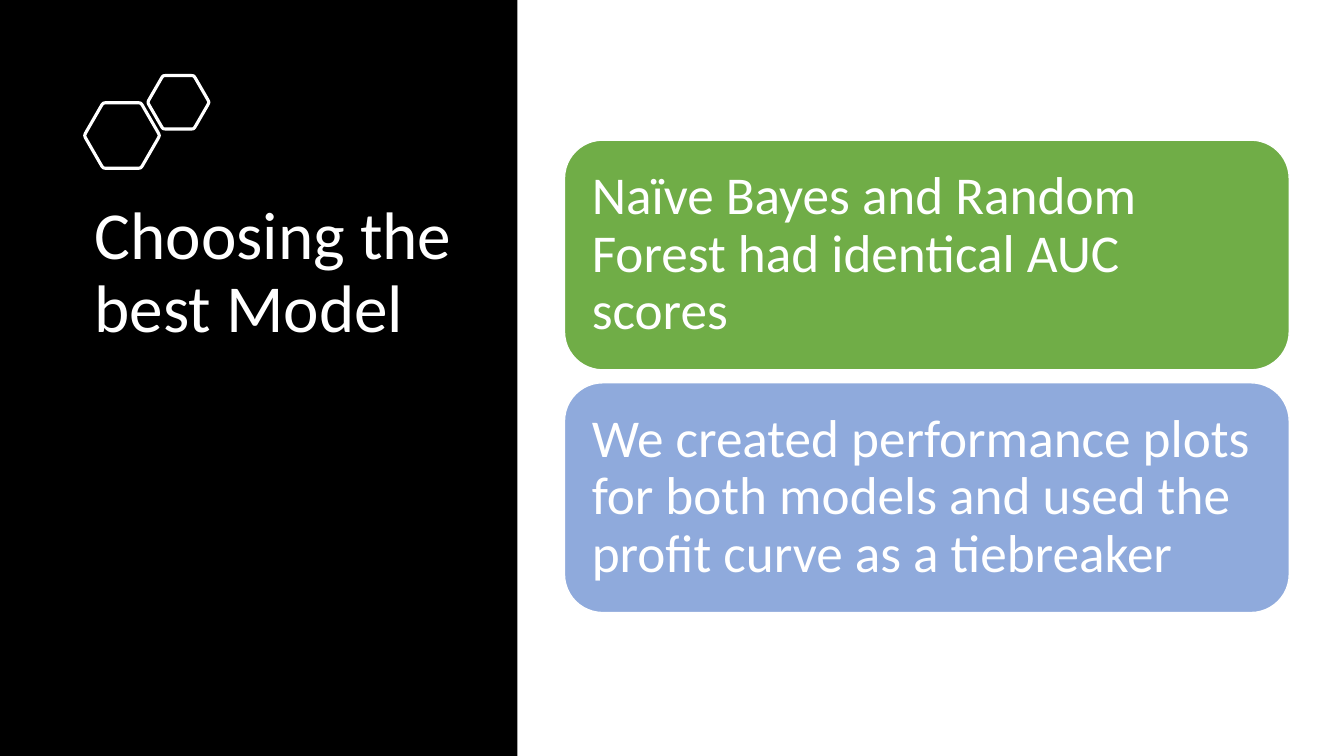
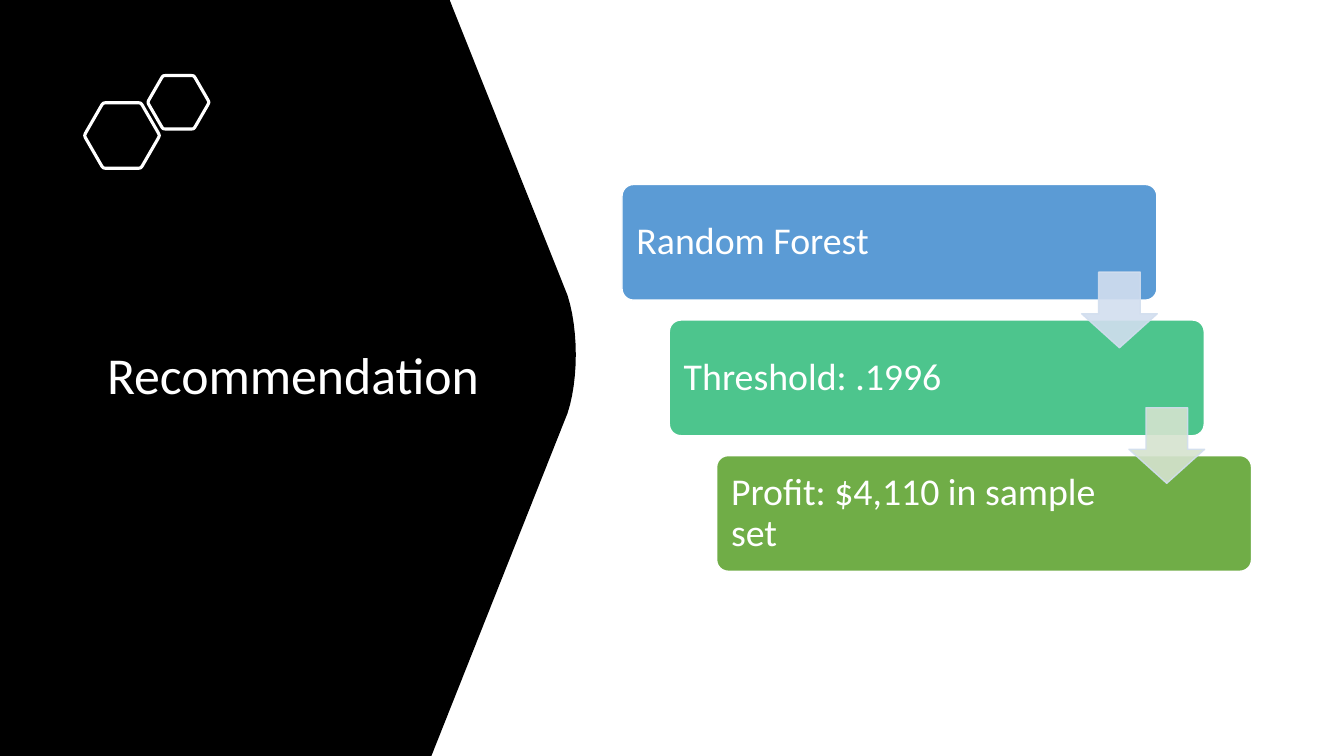
from math import cos, pi, sin, sqrt

from lxml import etree
from pptx import Presentation
from pptx.dml.color import RGBColor
from pptx.enum.shapes import MSO_SHAPE
from pptx.enum.text import MSO_ANCHOR, PP_ALIGN
from pptx.oxml.ns import qn
from pptx.util import Inches, Pt

WIDE, HIGH = Inches(13.333), Inches(7.5)
FONT = "Calibri"
BLACK, WHITE = "000000", "FFFFFF"
GREEN, BLUE, SOFT, MINT = "70AD47", "5B9BD5", "8FAADC", "4DC58D"
PALE, SAGE = "D2DEEF", "D5E3CF"
RECT, ROUND, DOWN = MSO_SHAPE.RECTANGLE, MSO_SHAPE.ROUNDED_RECTANGLE, MSO_SHAPE.DOWN_ARROW
TOP, MIDDLE = MSO_ANCHOR.TOP, MSO_ANCHOR.MIDDLE
LEFT, RIGHT = PP_ALIGN.LEFT, PP_ALIGN.RIGHT


def across(share):
    return int(WIDE * share / 100)


def down(share):
    return int(HIGH * share / 100)


def place(left, top, width, height):
    return across(left), down(top), across(width), down(height)


def paint(shape, fill=None, line=None, weight=1):
    shape.shadow.inherit = False
    for part, tone in ((shape.fill, fill), (shape.line.fill, line)):
        if tone:
            part.solid()
            part.fore_color.rgb = RGBColor.from_string(tone)
        else:
            part.background()
    if line:
        shape.line.width = Pt(weight)


def fade(shape, share):
    for tone in shape.element.iter(qn("a:srgbClr")):
        etree.SubElement(tone, qn("a:alpha")).set("val", str(share * 1000))


def write(shape, text, size, anchor, align, pads):
    frame = shape.text_frame
    frame.word_wrap = True
    frame.vertical_anchor = anchor
    frame.margin_left, frame.margin_top, frame.margin_right, frame.margin_bottom = map(Inches, pads)
    para = frame.paragraphs[0]
    para.alignment = align
    para.line_spacing = 0.9
    run = para.add_run()
    run.text = text
    run.font.name = FONT
    run.font.size = Pt(size)
    run.font.color.rgb = RGBColor.from_string(WHITE)


def title(slide, text, box, size, anchor, align):
    shape = slide.shapes.add_textbox(*place(*box))
    write(shape, text, size, anchor, align, (0.1, 0.05, 0.1, 0.05))


def block(slide, kind, box, fill, line=None, adjust=()):
    shape = slide.shapes.add_shape(kind, *place(*box))
    for spot, value in enumerate(adjust):
        shape.adjustments[spot] = value
    paint(shape, fill, line)
    return shape


def bend(start, pull, push, end, steps=12):
    points = []
    for step in range(steps + 1):
        t = step / steps
        u = 1 - t
        shares = (u ** 3, 3 * u * u * t, 3 * u * t * t, t ** 3)
        points.append(tuple(sum(k * p[axis] for k, p in zip(shares, (start, pull, push, end)))
                            for axis in (0, 1)))
    return points


def outline(slide, points, **look):
    points = [(round(x), round(y)) for x, y in points]
    maker = slide.shapes.build_freeform(*points[0], scale=1.0)
    maker.add_line_segments(points[1:], close=True)
    paint(maker.convert_to_shape(), **look)


def hexagon(slide, left, top, height, curve=0.13):
    reach = down(height) / sqrt(3)
    tips = [(across(left) + reach * cos(k * pi / 3), down(top) + reach * sin(k * pi / 3))
            for k in range(6)]

    def near(tip, other):
        return tuple(a + (b - a) * curve for a, b in zip(tip, other))

    points = []
    for k, tip in enumerate(tips):
        points += bend(near(tip, tips[k - 1]), tip, tip, near(tip, tips[(k + 1) % 6]), 6)
    outline(slide, points, line=WHITE, weight=2.25)


def emblem(slide):
    hexagon(slide, 9.08, 17.93, 8.67)
    hexagon(slide, 13.28, 13.53, 7.07)


def cards(slide, items, box, step, size, pads, adjust=()):
    left, top, width, height = box
    for row, (text, fill) in enumerate(items):
        spot = (left + row * step[0], top + row * step[1], width, height)
        card = block(slide, ROUND, spot, fill, WHITE, adjust)
        write(card, text, size, MIDDLE, LEFT, pads)


def choose(slide):
    block(slide, RECT, (0, 0, 38.5, 100), BLACK)
    title(slide, "Choosing the best Model", (6.3, 26, 29.4, 46.67), 48, TOP, LEFT)
    emblem(slide)
    items = (
        ("Naïve Bayes and Random Forest had identical AUC scores", GREEN),
        ("We created performance plots for both models and used the profit curve as a tiebreaker", SOFT),
    )
    cards(slide, items, (42, 18.53, 53.93, 30.4), (0, 32.1), 38, (0.16,) * 4)


def advise(slide):
    bow = ((42.23, 39.07), (43.05, 43.6), (43.05, 50.27), (42.23, 54.67))
    edge = [(0, 0), (33.46, 0), *bend(*bow), (32.1, 100), (0, 100)]
    outline(slide, [(across(x), down(y)) for x, y in edge], fill=BLACK)
    title(slide, "Recommendation", (6.3, 24.4, 30.08, 51.2), 37, MIDDLE, RIGHT)
    emblem(slide)
    items = (
        ("Random Forest", BLUE),
        ("Threshold: .1996", MINT),
        ("Profit: $4,110 in sample set", GREEN),
    )
    step = (3.52, 17.93)
    cards(slide, items, (46.28, 24.4, 39.8, 15.3), step, 27, (0.11, 0.11, 1.3, 0.11), (0.1,))
    for row, fill in enumerate((PALE, SAGE)):
        box = (80.48 + row * step[0], 36 + row * step[1], 5.63, 10)
        arrow = block(slide, DOWN, box, fill, PALE, (0.55, 0.45))
        arrow.adjustments[0], arrow.adjustments[1] = 0.55, 0.45
        fade(arrow, 90)


def main():
    deck = Presentation()
    deck.slide_width, deck.slide_height = WIDE, HIGH
    for build in (choose, advise):
        build(deck.slides.add_slide(deck.slide_layouts[6]))
    deck.save("out.pptx")


if __name__ == "__main__":
    main()
